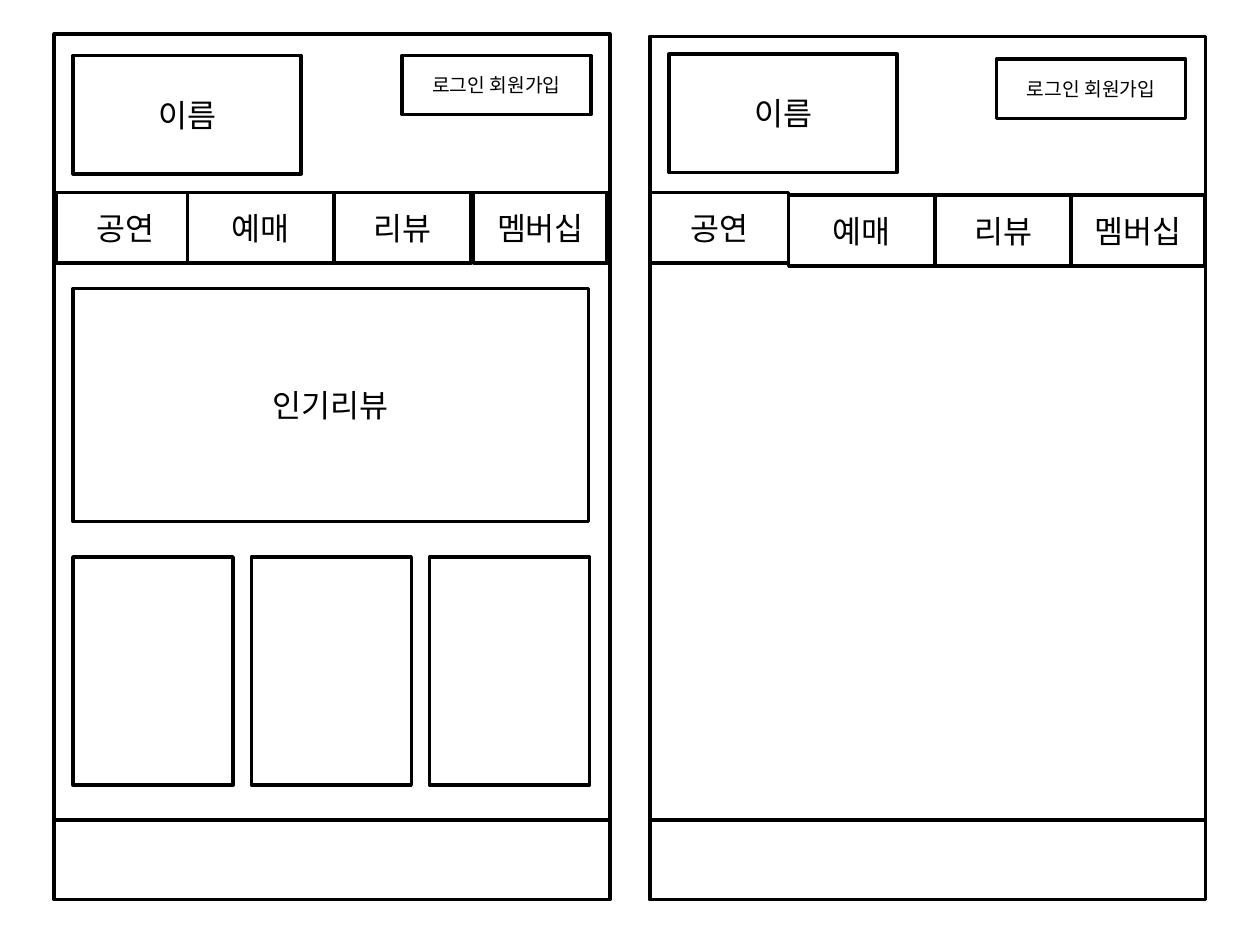
"""Build a slide with two wireframe pages of a show review site."""
from lxml.etree import SubElement
from pptx import Presentation
from pptx.dml.color import RGBColor
from pptx.enum.shapes import MSO_SHAPE
from pptx.enum.text import MSO_ANCHOR, PP_ALIGN
from pptx.oxml.ns import qn
from pptx.util import Inches, Pt

BLACK = RGBColor(0, 0, 0)
WHITE = RGBColor(255, 255, 255)
FONT = "Noto Sans CJK KR"
WIDE, HIGH = 4.41, 6.85
FOOT = 0.63
NAME, LOGIN = "이름", "로그인 회원가입"
TABS = [("공연", 1.1), ("예매", 1.16), ("리뷰", 1.09), ("멤버십", 1.06)]
PAGES = [
    dict(left=0.43, top=0.28, head=0.27, name=(0.58, 0.44), login=(3.19, 0.44),
         tabs=[(0.45, 1.53), (1.49, 1.53), (2.65, 1.53), (3.76, 1.53)]),
    dict(left=5.16, top=0.29, head=0.29, name=(5.31, 0.43), login=(7.91, 0.47),
         tabs=[(5.16, 1.53), (6.26, 1.55), (7.42, 1.55), (8.5, 1.55)]),
]
REVIEW = "인기리뷰"
CARDS = 3
EDGE, SPAN, CARD = 0.58, 4.1, 1.27

deck = Presentation()
deck.slide_width, deck.slide_height = Inches(10), Inches(7.5)
slide = deck.slides.add_slide(deck.slide_layouts[6])


def box(left, top, width, height, text="", size=18):
    """Draw an outlined box with an optional centred label."""
    spot = [Inches(n) for n in (left, top, width, height)]
    shape = slide.shapes.add_shape(MSO_SHAPE.RECTANGLE, *spot)
    shape.shadow.inherit = False
    shape.fill.solid()
    shape.fill.fore_color.rgb = WHITE
    shape.line.color.rgb = BLACK
    shape.line.width = Pt(2)
    if text:
        frame = shape.text_frame
        frame.word_wrap = True
        frame.vertical_anchor = MSO_ANCHOR.MIDDLE
        para = frame.paragraphs[0]
        para.alignment = PP_ALIGN.CENTER
        run = para.add_run()
        run.text = text
        run.font.size = Pt(size)
        run.font.name = FONT
        run.font.color.rgb = BLACK
        SubElement(run.font._element, qn("a:ea"), typeface=FONT)


for page in PAGES:
    left = page["left"]
    box(left, page["top"], WIDE, HIGH)
    box(left, page["head"], WIDE, 1.26)
    box(*page["name"], 1.81, 0.94, NAME)
    box(*page["login"], 1.5, 0.47, LOGIN, size=11)
    for (label, width), spot in zip(TABS, page["tabs"]):
        box(*spot, width, 0.56, label)
    box(left, 6.51, WIDE, FOOT)

box(EDGE, 2.29, 4.09, 1.85, REVIEW)
step = (SPAN - CARD) / (CARDS - 1)
for col in range(CARDS):
    box(EDGE + col * step, 4.42, CARD, 1.81)

deck.save("out.pptx")
